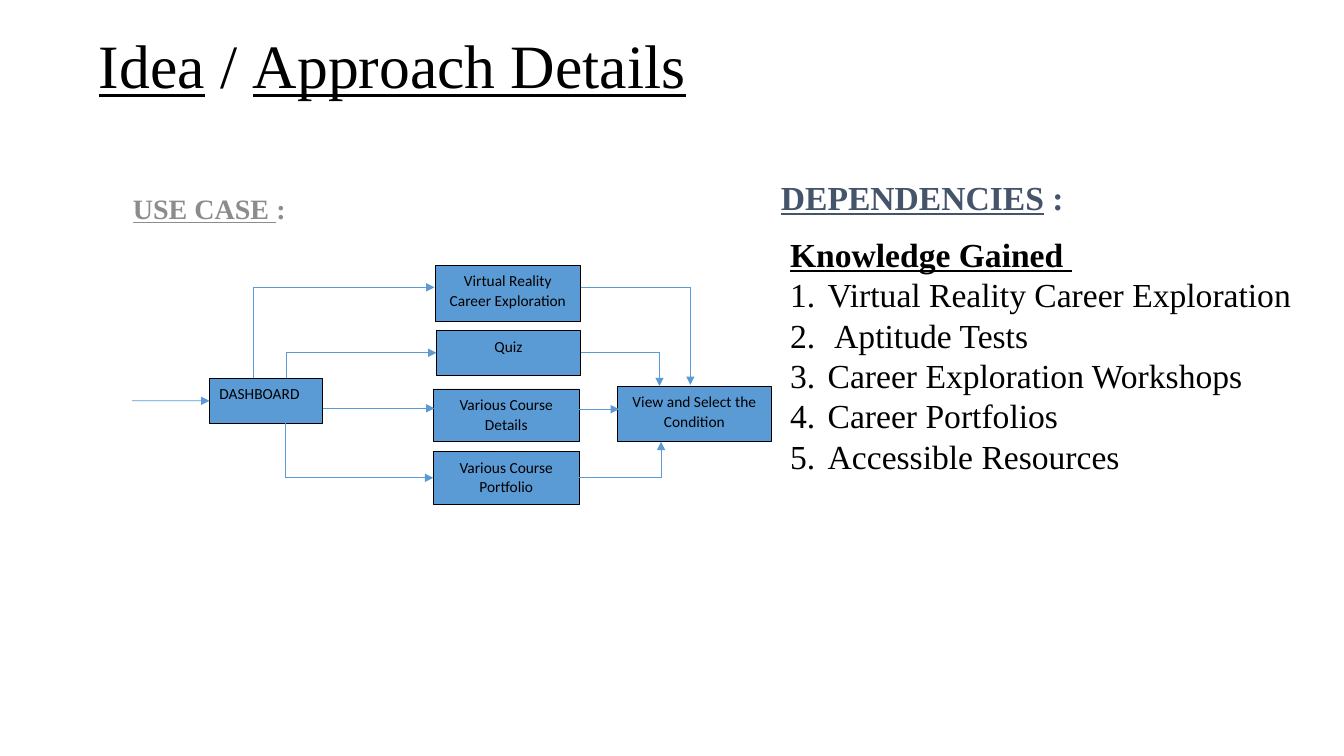
from lxml import etree
from pptx import Presentation
from pptx.dml.color import RGBColor
from pptx.enum.shapes import MSO_CONNECTOR, MSO_SHAPE
from pptx.enum.text import MSO_ANCHOR, PP_ALIGN
from pptx.oxml.ns import qn
from pptx.util import Cm, Pt

RECT = MSO_SHAPE.RECTANGLE
STRAIGHT = MSO_CONNECTOR.STRAIGHT
TOP, MIDDLE = MSO_ANCHOR.TOP, MSO_ANCHOR.MIDDLE
LEFT, CENTER = PP_ALIGN.LEFT, PP_ALIGN.CENTER
LEFT_SIDE, RIGHT_SIDE = 1, 3
COLORS = {"black": "000000", "gray": "8C8C8C", "slate": "44546A", "blue": "5B9BD5"}
SERIF, SANS = "Times New Roman", "Calibri"


def rgb(name):
    return RGBColor.from_string(COLORS[name])


def add_run(p, text, font=SERIF, size=24, color="black", bold=False, underline=False):
    r = p.add_run()
    r.text = text
    r.font.name = font
    r.font.size = Pt(size)
    r.font.color.rgb = rgb(color)
    r.font.bold = bold
    r.font.underline = underline


class Deck:
    def __init__(self):
        self.prs = Presentation()
        self.prs.slide_width, self.prs.slide_height = Cm(33.87), Cm(19.05)
        self.s = self.prs.slides.add_slide(self.prs.slide_layouts[6])
        self.line_width = Pt(0.5)

    def text(self, x, y, w, h, runs, anchor=TOP, spacing=1.0, **style):
        tf = self.s.shapes.add_textbox(Cm(x), Cm(y), Cm(w), Cm(h)).text_frame
        tf.word_wrap = True
        tf.vertical_anchor = anchor
        p = tf.paragraphs[0]
        p.line_spacing = spacing
        for text, underline in runs:
            add_run(p, text, underline=underline, **style)
        return tf

    def numbered(self, tf, items):
        for item in items:
            p = tf.add_paragraph()
            pPr = p._p.get_or_add_pPr()
            pPr.set("marL", str(Cm(0.95)))
            pPr.set("indent", str(-Cm(0.95)))
            etree.SubElement(pPr, qn("a:buFont"), typeface="+mj-lt")
            etree.SubElement(pPr, qn("a:buAutoNum"), type="arabicPeriod")
            add_run(p, item)

    def box(self, x, y, w, h, *lines, align=CENTER):
        sp = self.s.shapes.add_shape(RECT, Cm(x), Cm(y), Cm(w), Cm(h))
        sp.shadow.inherit = False
        sp.fill.solid()
        sp.fill.fore_color.rgb = rgb("blue")
        sp.line.color.rgb = rgb("black")
        sp.line.width = self.line_width
        tf = sp.text_frame
        tf.word_wrap = True
        tf.vertical_anchor = TOP
        for i, line in enumerate(lines):
            p = tf.add_paragraph() if i else tf.paragraphs[0]
            p.alignment = align
            p.line_spacing = 1.07
            add_run(p, line, font=SANS, size=11)
        return sp

    def route(self, *points, begin=None, end=None):
        segments = list(zip(points, points[1:]))
        for i, (a, b) in enumerate(segments):
            c = self.s.shapes.add_connector(STRAIGHT, Cm(a[0]), Cm(a[1]), Cm(b[0]), Cm(b[1]))
            c.line.color.rgb = rgb("blue")
            c.line.width = self.line_width
            etree.SubElement(c._element.spPr, qn("a:effectLst"))
            if i == 0 and begin:
                c.begin_connect(begin, RIGHT_SIDE)
            if i == len(segments) - 1:
                etree.SubElement(c.line._get_or_add_ln(), qn("a:tailEnd"), type="triangle")
                if end:
                    c.end_connect(end, LEFT_SIDE)


def main():
    d = Deck()
    d.text(2.24, 0.89, 16.05, 1.7,
           [("Idea", True), (" / ", False), ("Approach Details", True)],
           anchor=MIDDLE, spacing=0.9, size=44)
    d.text(3.1, 4.45, 13.44, 1.6, [("USE CASE ", True), (":", False)],
           anchor=MIDDLE, size=20, color="gray", bold=True)
    d.text(19.43, 4.45, 13.61, 0.89, [("DEPENDENCIES", True), (" :", False)],
           spacing=0.9, color="slate", bold=True)
    knowledge = d.text(19.66, 5.77, 14.2, 6.4, [("Knowledge Gained ", True)], bold=True)
    d.numbered(knowledge, ["Virtual Reality Career Exploration", " Aptitude Tests",
                           "Career Exploration Workshops", "Career Portfolios",
                           "Accessible Resources"])

    dashboard = d.box(5.28, 9.53, 2.85, 1.14, "DASHBOARD", align=LEFT)
    d.box(10.97, 6.68, 3.66, 1.42, "Virtual Reality", "Career Exploration")
    quiz = d.box(11, 8.33, 3.63, 1.12, "Quiz")
    d.box(10.92, 9.8, 3.68, 1.32, "Various Course Details")
    portfolio = d.box(10.92, 11.38, 3.68, 1.32, "Various Course Portfolio")
    d.box(15.57, 9.73, 3.86, 1.4, "View and Select the Condition")

    virtual_y, quiz_y, portfolio_y = 7.24, 8.89, 12.04
    d.route((3.33, 10.1), (5.28, 10.1), end=dashboard)
    d.route((6.38, 9.53), (6.38, virtual_y), (10.95, virtual_y))
    d.route((7.21, 9.53), (7.21, quiz_y), (11, quiz_y), end=quiz)
    d.route((8.13, 10.29), (10.95, 10.29))
    d.route((7.19, 10.67), (7.19, portfolio_y), (10.92, portfolio_y), end=portfolio)

    d.route((14.65, virtual_y), (17.4, virtual_y), (17.4, 9.7))
    d.route((14.63, quiz_y), (16.62, quiz_y), (16.62, 9.73), begin=quiz)
    d.route((14.6, 10.31), (15.6, 10.31))
    d.route((14.6, portfolio_y), (16.66, portfolio_y), (16.66, 11.13), begin=portfolio)

    d.prs.save("out.pptx")


if __name__ == "__main__":
    main()
